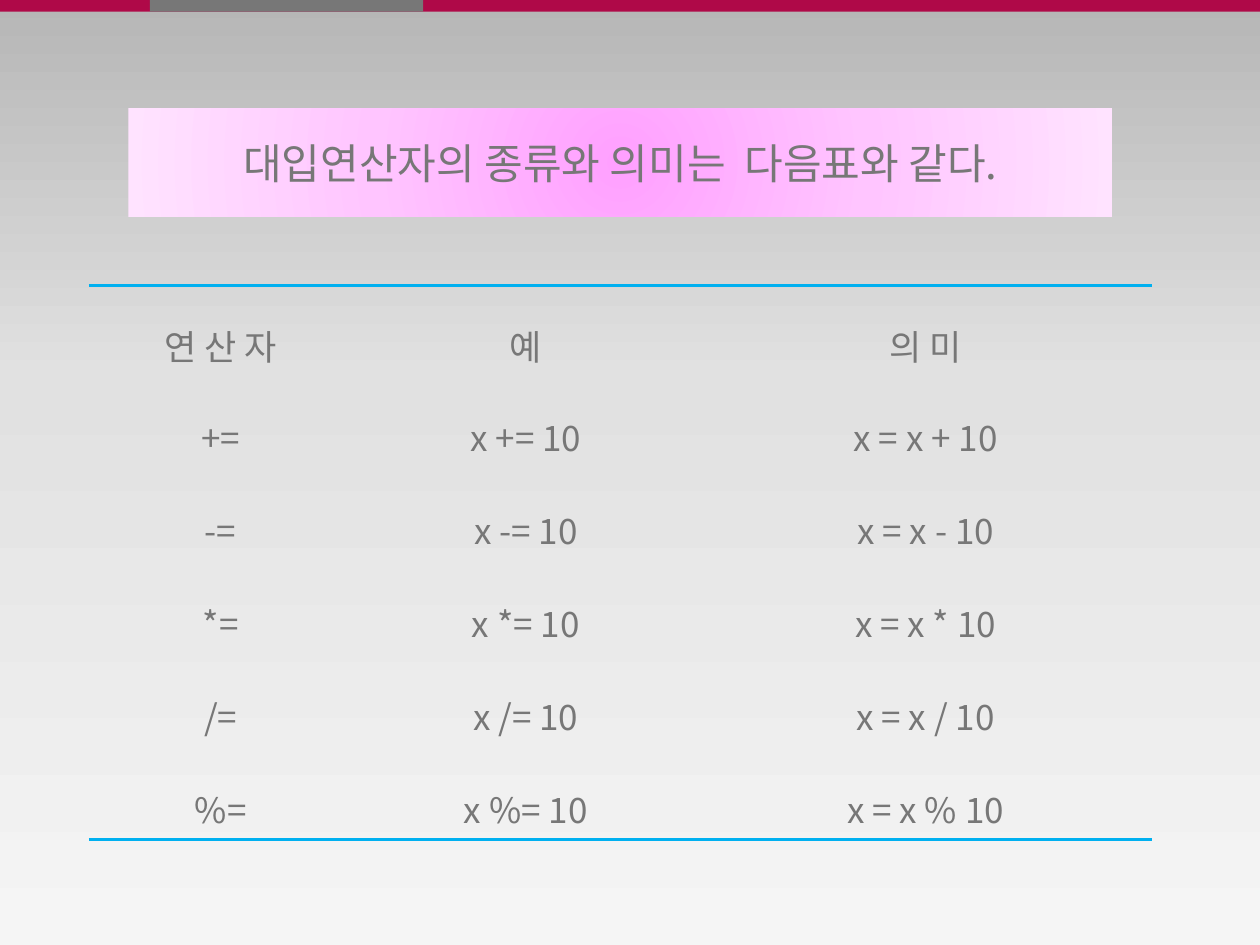
from lxml import etree
from pptx import Presentation
from pptx.dml.color import RGBColor
from pptx.enum.shapes import MSO_SHAPE as Shape
from pptx.enum.text import MSO_ANCHOR as Anchor, MSO_AUTO_SIZE as AutoSize, PP_ALIGN as Align
from pptx.oxml import parse_xml
from pptx.oxml.ns import nsdecls, qn
from pptx.util import Pt

# Content
TITLE = "대입연산자의 종류와 의미는  다음표와 같다."
ROWS = [("연 산 자", "예", "의 미")] + [
    (f"{sign}=", f"x {sign}= 10", f"x = x {sign} 10") for sign in "+-*/%"
]

# Look
FONT, GREY, RED, BLUE = "Noto Sans CJK KR", "777777", "AF0948", "00B0F0"
BACKDROP = [(0, "B6B6B6"), (40, "E1E1E1"), (100, "F5F5F5")]
BANNER = [(0, "FFA0FF"), (50, "FFC5FF"), (100, "FFE3FF")]
DOWNWARD = '<a:lin ang="5400000" scaled="0"/>'
FROM_CENTRE = ('<a:path path="circle"><a:fillToRect l="50000" t="50000" '
               'r="50000" b="50000"/></a:path>')

# Places in points
WIDTH, HEIGHT = 720, 540
BARS = [(0, WIDTH, RED), (85.7, 156.2, GREY)]
BAR_HEIGHT = 6.7
TITLE_BOX = dict(left=73.3, top=61.9, width=562.3, height=62)
TABLE_LEFT, TABLE_TOP = 50.8, 163.1
COLUMN_WIDTHS = [150.6, 198.3, 258.6]
ROW_HEIGHTS = [44] + [53.2] * 5
CELL = dict(margin_left=Pt(4.5), margin_right=Pt(4.5), margin_top=Pt(2.2),
            margin_bottom=Pt(2.2), vertical_anchor=Anchor.MIDDLE)


def color(value):
    return RGBColor.from_string(value)


def apply(target, values):
    for name, value in values.items():
        setattr(target, name, value)


def set_gradient(fill, parent, stops, direction):
    """Replace the parent's fill with a gradient of several stops."""
    fill.solid()
    stop_xml = "".join(f'<a:gs pos="{pos * 1000}"><a:srgbClr val="{value}"/></a:gs>'
                       for pos, value in stops)
    gradient = parse_xml(f'<a:gradFill {nsdecls("a")} rotWithShape="1">'
                         f'<a:gsLst>{stop_xml}</a:gsLst>{direction}</a:gradFill>')
    parent.replace(parent.find(qn("a:solidFill")), gradient)


def write(frame, text, size, spacing):
    para = frame.paragraphs[0]
    apply(para, dict(alignment=Align.CENTER, line_spacing=spacing))
    span = para.add_run()
    span.text = text
    apply(span.font, dict(size=Pt(size), name=FONT, bold=False))
    span.font.color.rgb = color(GREY)
    latin = span.font._element.find(qn("a:latin"))
    east_asian = etree.Element(qn("a:ea"), typeface=FONT)
    latin.addnext(east_asian)


def set_borders(cell, ruled):
    """Rule the named sides in blue and leave the others open."""
    properties = cell._tc.get_or_add_tcPr()
    for side in "LRTB":
        line = etree.SubElement(properties, qn(f"a:ln{side}"), w=str(Pt(1.8)))
        if side in ruled:
            paint = etree.SubElement(line, qn("a:solidFill"))
            etree.SubElement(paint, qn("a:srgbClr"), val=BLUE)
        else:
            etree.SubElement(line, qn("a:noFill"))


deck = Presentation()
apply(deck, dict(slide_width=Pt(WIDTH), slide_height=Pt(HEIGHT)))
page = deck.slides.add_slide(deck.slide_layouts[5])

# Background and top bars
backdrop = page.background.fill
backdrop.solid()
set_gradient(backdrop, page.element.find(".//" + qn("p:bgPr")), BACKDROP, DOWNWARD)
for left, width, value in BARS:
    bar = page.shapes.add_shape(Shape.RECTANGLE, Pt(left), 0, Pt(width), Pt(BAR_HEIGHT))
    bar.shadow.inherit = False
    bar.fill.solid()
    bar.fill.fore_color.rgb = color(value)
    bar.line.fill.background()

# Title banner
title = page.shapes.title
apply(title, {name: Pt(value) for name, value in TITLE_BOX.items()})
set_gradient(title.fill, title.element.spPr, BANNER, FROM_CENTRE)
apply(title.text_frame, dict(vertical_anchor=Anchor.MIDDLE, word_wrap=True,
                             auto_size=AutoSize.NONE))
write(title.text_frame, TITLE, size=24, spacing=1.0)

# Operator table
table = page.shapes.add_table(
    len(ROWS), len(COLUMN_WIDTHS), Pt(TABLE_LEFT), Pt(TABLE_TOP),
    Pt(sum(COLUMN_WIDTHS)), Pt(sum(ROW_HEIGHTS))).table
apply(table, dict(first_row=False, horz_banding=False))
for column, width in zip(table.columns, COLUMN_WIDTHS):
    column.width = Pt(width)
for row, height in zip(table.rows, ROW_HEIGHTS):
    row.height = Pt(height)
ruled_sides = {0: "T", len(ROWS) - 1: "B"}
for r, texts in enumerate(ROWS):
    for c, text in enumerate(texts):
        cell = table.cell(r, c)
        apply(cell, CELL)
        set_borders(cell, ruled_sides.get(r, ""))
        cell.fill.background()
        write(cell.text_frame, text, size=20, spacing=1.6)

deck.save("out.pptx")
